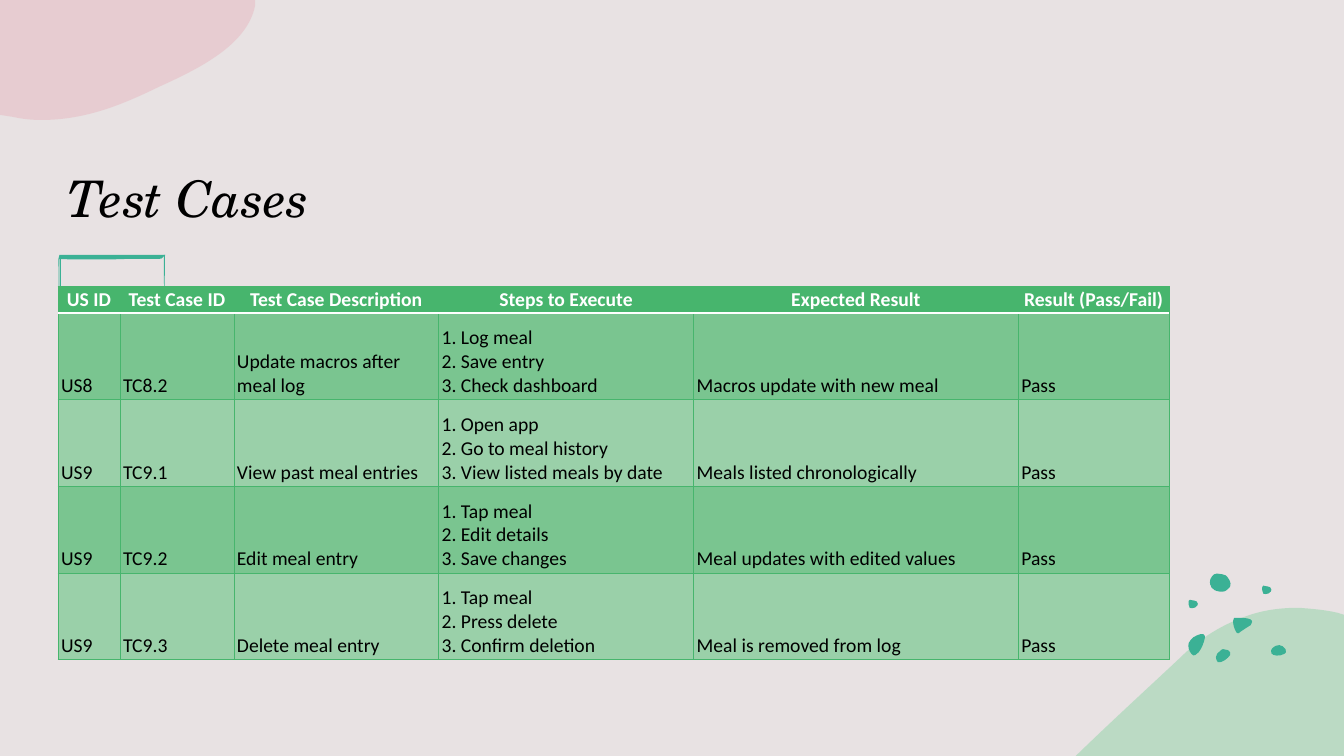
from copy import deepcopy
from pptx import Presentation
from pptx.dml.color import RGBColor
from pptx.enum.text import MSO_ANCHOR, PP_ALIGN
from pptx.oxml import parse_xml
from pptx.oxml.ns import nsdecls, qn
from pptx.util import Inches, Pt

CELL = Inches(0.01)
WIDE, HIGH = 1333, 750
BLACK = RGBColor(0x00, 0x00, 0x00)
WHITE = RGBColor(0xFF, 0xFF, 0xFF)
PAPER = RGBColor(0xE8, 0xE2, 0xE3)
PINK = RGBColor(0xE7, 0xB8, 0xC0)
MINT = RGBColor(0x90, 0xD3, 0xA7)
TEAL = RGBColor(0x3B, 0xB1, 0x95)
GREEN = RGBColor(0x47, 0xB5, 0x6D)
BAND = RGBColor(0x7A, 0xC5, 0x90)
LIGHT = RGBColor(0x9A, 0xD0, 0xA9)

HILL = [(1, 146), (35, 113), (70, 81), (102, 51), (124, 29), (147, 16), (170, 8),
        (187, 2), (204, 0), (221, 0), (234, 1), (247, 2), (260, 5)]
CLOUD = [(253, 6), (245, 44), (200, 67), (158, 86), (123, 103), (86, 119), (41, 119),
         (31, 119), (22, 118), (13, 116)]
STROKE = [(99, 4), (105, 4), (103, 1), (106, 0)]
FLECK = [(0, 0), (0.3, 0), (0.7, 0), (1, 0), (0.7, 0.2), (0.3, 0.2), (0, 0)]
PEBBLE = [(1, 5), (1, 5), (0, 1), (2, 0), (4, 0), (5, 0), (7, 1), (8, 1), (10, 2), (10, 4),
          (10, 5), (9, 7), (8, 7), (8, 7), (8, 8), (6, 8), (5, 8), (3, 9), (2, 8),
          (1, 6), (1, 6), (1, 5)]
DOTS = [
    (28, 75, [(7, 0), (9, 0), (10, 0), (12, 1), (14, 2), (15, 4), (14, 6), (12, 9), (6, 14),
              (2, 13), (1, 12), (0, 10), (0, 8), (0, 6), (2, 3), (4, 2), (5, 1), (6, 0), (7, 0)]),
    (1, 60, [(12, 0), (14, 0), (16, 0), (16, 2), (16, 3), (16, 3), (16, 4), (15, 9), (13, 14),
             (10, 18), (8, 20), (5, 23), (3, 20), (0, 17), (-1, 12), (0, 9), (1, 6), (3, 5),
             (5, 3), (6, 3), (9, 0), (12, 0)]),
    (83, 71, [(8, 0), (10, 0), (13, 2), (14, 4), (15, 6), (15, 8), (12, 9), (9, 11), (1, 11),
              (0, 8), (-1, 6), (0, 4), (1, 3), (3, 1), (5, 0), (8, 0)]),
    (22, 0, [(1, 12), (0, 12), (-1, 6), (2, 3), (4, 1), (4, 0), (7, 0), (10, 0), (14, 1),
             (16, 2), (18, 4), (22, 9), (20, 13), (17, 16), (16, 18), (12, 18), (9, 18),
             (4, 17), (3, 15), (1, 14), (1, 13), (1, 12)]),
    (73, 12, PEBBLE),
    (0, 26, PEBBLE),
    (45, 44, [(5, 0), (11, 0), (22, 0), (18, 6), (18, 7), (17, 8), (16, 8), (13, 10), (10, 12),
              (7, 14), (6, 15), (5, 16), (4, 15), (4, 15), (3, 14), (3, 14), (1, 10), (0, 7),
              (0, 3), (0, 2), (0, 1), (1, 0), (2, 0), (4, 0), (5, 0)]),
]

COLS = [61.5, 113, 203, 253, 322, 149.5]
ROWS = [26] + [86] * 4
CASES = [
    ["US ID", "Test Case ID", "Test Case Description", "Steps to Execute",
     "Expected Result", "Result (Pass/Fail)"],
    ["US8", "TC8.2", "Update macros after meal log",
     "1. Log meal\n2. Save entry\n3. Check dashboard", "Macros update with new meal", "Pass"],
    ["US9", "TC9.1", "View past meal entries",
     "1. Open app\n2. Go to meal history\n3. View listed meals by date",
     "Meals listed chronologically", "Pass"],
    ["US9", "TC9.2", "Edit meal entry",
     "1. Tap meal\n2. Edit details\n3. Save changes", "Meal updates with edited values", "Pass"],
    ["US9", "TC9.3", "Delete meal entry",
     "1. Tap meal\n2. Press delete\n3. Confirm deletion", "Meal is removed from log", "Pass"],
]


def span(count):
    """Turn grid cells into a length."""
    return round(count * CELL)


def write(frame, text, font="Calibri", size=14, color=BLACK, bold=False, slant=False,
          align=PP_ALIGN.LEFT):
    """Put formatted text into a text frame."""
    frame.word_wrap = True
    para = frame.paragraphs[0]
    para.text = text.replace("\n", "\v")
    para.alignment = align
    for run in para.runs:
        run.font.name, run.font.size = font, Pt(size)
        run.font.bold, run.font.italic = bold, slant
        run.font.color.rgb = color
    for gap in para._p.findall(qn("a:br")):
        gap.append(deepcopy(para.runs[0]._r.rPr))


def bend(shape, spots):
    """Turn the first straight segments of a freeform into cubic curves."""
    lines = shape._element.findall(".//" + qn("a:lnTo"))
    for i, line in zip(range(1, len(spots), 3), lines):
        marks = "".join(f'<a:pt x="{x - shape.left}" y="{y - shape.top}"/>'
                        for x, y in spots[i:i + 3])
        curve = parse_xml(f'<a:cubicBezTo {nsdecls("a")}>{marks}</a:cubicBezTo>')
        line.getparent().replace(line, curve)


def blob(slide, left, top, curve, color, ends=(), alpha=100):
    """Draw a filled outline of curves and straight ends from a grid corner."""
    spots = [(span(left + x), span(top + y)) for x, y in curve]
    tail = [(span(left + x), span(top + y)) for x, y in ends]
    pen = slide.shapes.build_freeform(*spots[0], scale=1.0)
    pen.add_line_segments(spots[3::3] + tail, close=True)
    shape = pen.convert_to_shape()
    bend(shape, spots)
    shape.shadow.inherit = False
    shape.line.fill.background()
    shape.fill.solid()
    shape.fill.fore_color.rgb = color
    if alpha < 100:
        tint = shape._element.spPr.find(".//" + qn("a:srgbClr"))
        tint.append(parse_xml(f'<a:alpha {nsdecls("a")} val="{alpha * 1000}"/>'))


def decor(slide, left, top, wide, high):
    """Place the corner shapes and the dots."""
    blob(slide, left + wide - 266, top + high - 147, HILL, MINT,
         [(266, 7), (266, 147), (0, 147)], 50)
    for x, y, curve in DOTS:
        blob(slide, left + wide - 155 + x, top + high - 181 + y, curve, TEAL)
    blob(slide, left, top, CLOUD, PINK, [(0, 114), (0, 0), (253, 0)], 50)


def head(slide, left, top, wide, high):
    """Place the title and the brush stroke under it."""
    for x, y in ((0.5, 26), (2, 26), (105, 22)):
        blob(slide, left + x, top + high + y, FLECK, TEAL)
    blob(slide, left + 0.5, top + high + 22, STROKE, TEAL,
         [(53, 0), (17, 0), (1, 0), (0, 4), (17, 4.5), (49, 4.5), (66, 4)])
    box = slide.shapes.add_textbox(*map(span, (left, top, wide, high)))
    box.text_frame.vertical_anchor = MSO_ANCHOR.BOTTOM
    write(box.text_frame, "Test Cases", font="TeX Gyre Schola", size=36, slant=True)


def edge(cell, side, color, width):
    """Draw one border of a table cell."""
    cell._tc.get_or_add_tcPr().append(parse_xml(
        f'<a:{side} {nsdecls("a")} w="{Pt(width)}"><a:solidFill>'
        f'<a:srgbClr val="{color}"/></a:solidFill></a:{side}>'))


def grid(slide, left, top, wide, high):
    """Place the table of test cases."""
    frame = slide.shapes.add_table(len(ROWS), len(COLS), *map(span, (left, top, wide, high)))
    table = frame.table
    for col, size in zip(table.columns, COLS):
        col.width = span(size)
    for r, (row, size) in enumerate(zip(table.rows, ROWS)):
        row.height = span(size)
        first = r == 0
        for cell, text in zip(row.cells, CASES[r]):
            for side in ("lnL", "lnR", "lnT", "lnB"):
                white = (r, side) in ((0, "lnB"), (1, "lnT"))
                edge(cell, side, WHITE if white else GREEN, 1 if white else 0.5)
            cell.fill.solid()
            cell.fill.fore_color.rgb = GREEN if first else BAND if r % 2 else LIGHT
            cell.margin_left = cell.margin_right = span(1 if first else 3)
            cell.margin_top = cell.margin_bottom = span(1 if first else 2)
            cell.vertical_anchor = MSO_ANCHOR.BOTTOM
            write(cell.text_frame, text, bold=first, color=WHITE if first else BLACK,
                  align=PP_ALIGN.CENTER if first else PP_ALIGN.LEFT)
    frame.height = span(high)


def main():
    """Build the slide and save it."""
    deck = Presentation()
    deck.slide_width, deck.slide_height = span(WIDE), span(HIGH)
    slide = deck.slides.add_slide(deck.slide_layouts[6])
    slide.background.fill.solid()
    slide.background.fill.fore_color.rgb = PAPER
    decor(slide, 0, 0, WIDE, HIGH)
    head(slide, 57.5, 86, 1102, 145)
    grid(slide, 57.5, 284.5, 1102, 393)
    deck.save("out.pptx")


if __name__ == "__main__":
    main()
